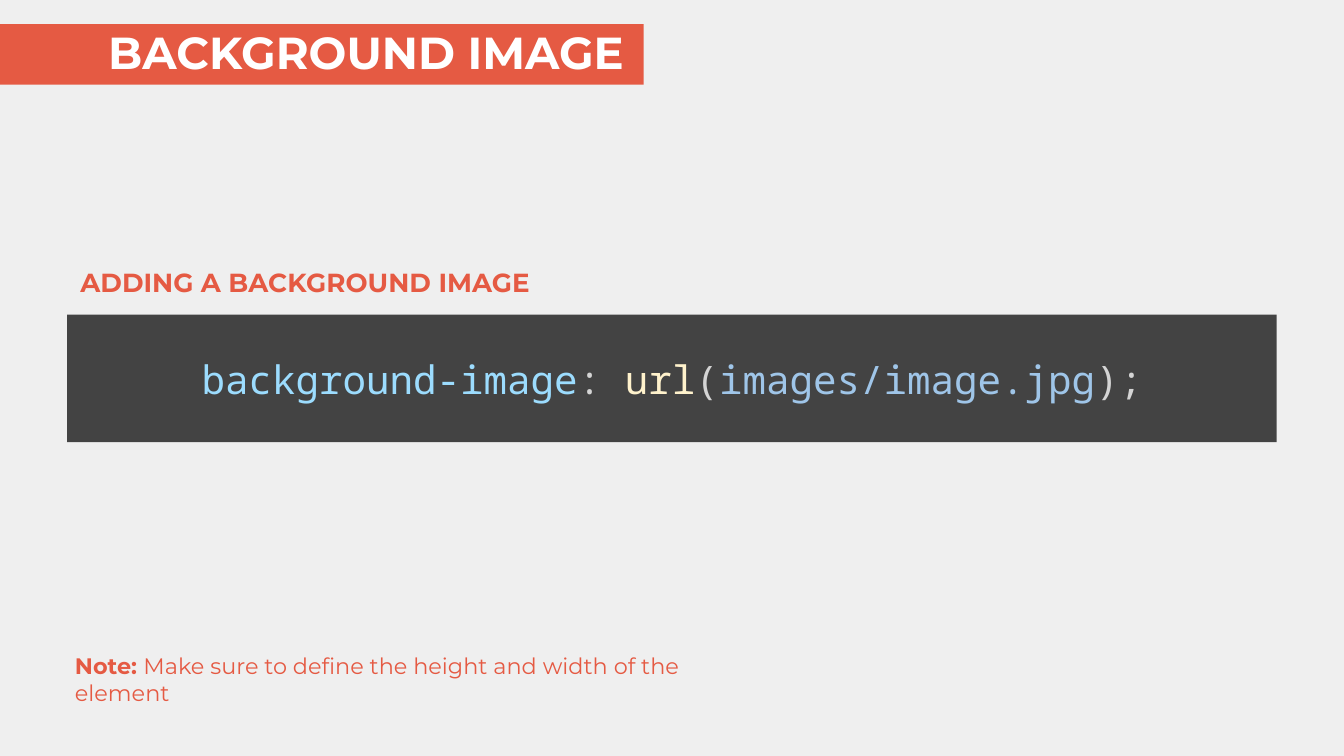
"""Build the slide on adding a CSS background image."""
from pptx import Presentation
from pptx.dml.color import RGBColor
from pptx.enum.shapes import MSO_SHAPE as SHAPE
from pptx.enum.text import MSO_ANCHOR as ANCHOR, PP_ALIGN as ALIGN
from pptx.util import Inches, Pt

PAPER = RGBColor(0xEF, 0xEF, 0xEF)
CORAL = RGBColor(0xE5, 0x5A, 0x43)
WHITE = RGBColor(0xFF, 0xFF, 0xFF)
CHARCOAL = RGBColor(0x43, 0x43, 0x43)
PROPERTY = RGBColor(0x9C, 0xDC, 0xFE)
PUNCTUATION = RGBColor(0xD4, 0xD4, 0xD4)
FUNCTION = RGBColor(0xFF, 0xF2, 0xCC)
ADDRESS = RGBColor(0x9F, 0xC5, 0xE8)
SANS, MONO = "Montserrat", "Noto Sans Mono"


def add_block(box, fill=None):
    lengths = [Inches(value) for value in box]
    if fill is None:
        return slide.shapes.add_textbox(*lengths)
    block = slide.shapes.add_shape(SHAPE.RECTANGLE, *lengths)
    block.shadow.inherit = False
    block.fill.solid()
    block.fill.fore_color.rgb = fill
    block.line.fill.background()
    return block


def write(block, runs, font, size, insets=(0.1, 0.1, 0.1, 0.1),
          anchor=ANCHOR.TOP, align=ALIGN.LEFT, spacing=1.0):
    frame = block.text_frame
    left, top, right, bottom = [Inches(value) for value in insets]
    frame_format = {
        "word_wrap": True, "vertical_anchor": anchor,
        "margin_left": left, "margin_top": top,
        "margin_right": right, "margin_bottom": bottom,
    }
    for name, value in frame_format.items():
        setattr(frame, name, value)
    line = frame.paragraphs[0]
    line.alignment = align
    line.line_spacing = spacing
    for text, color, bold in runs:
        run = line.add_run()
        run.text = text
        for name, value in {"name": font, "size": Pt(size), "bold": bold}.items():
            setattr(run.font, name, value)
        run.font.color.rgb = color


deck = Presentation()
deck.slide_width = Inches(10)
deck.slide_height = Inches(10 * 9 / 16)
slide = deck.slides.add_slide(deck.slide_layouts[6])
slide.background.fill.solid()
slide.background.fill.fore_color.rgb = PAPER

title = add_block((0, 0.18, 4.79, 0.45), CORAL)
write(title, [("BACKGROUND IMAGE", WHITE, True)], SANS, 24,
      insets=(0.75, 0.04, 0.15, 0.04), anchor=ANCHOR.BOTTOM,
      align=ALIGN.RIGHT, spacing=0.9)

code = add_block((0.5, 2.34, 9, 0.95), CHARCOAL)
tokens = [
    ("background-image", PROPERTY, False),
    (": ", PUNCTUATION, False),
    ("url", FUNCTION, False),
    ("(", PUNCTUATION, False),
    ("images/image.jpg", ADDRESS, False),
    (");", PUNCTUATION, False),
]
write(code, tokens, MONO, 21, anchor=ANCHOR.MIDDLE, align=ALIGN.CENTER)

heading = add_block((0.5, 1.88, 3.6, 0.45))
write(heading, [("ADDING A BACKGROUND IMAGE", CORAL, True)], SANS, 14)

note = add_block((0.46, 4.75, 4.87, 0.45))
advice = [
    ("Note: ", CORAL, True),
    ("Make sure to define the height and width of the element", CORAL, False),
]
write(note, advice, SANS, 12)

deck.save("out.pptx")
